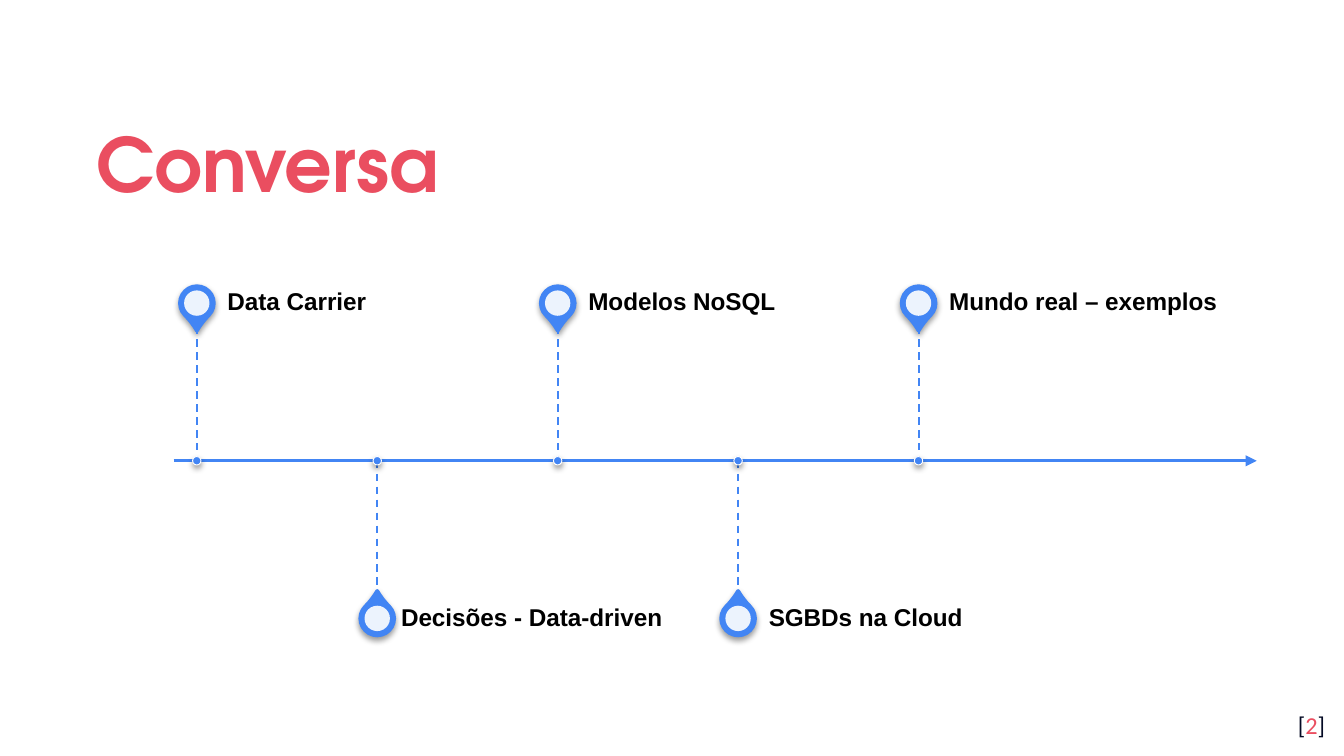
from dataclasses import dataclass

from pptx import Presentation
from pptx.dml.color import RGBColor
from pptx.enum.dml import MSO_LINE
from pptx.enum.shapes import MSO_CONNECTOR, MSO_SHAPE
from pptx.enum.text import MSO_ANCHOR, MSO_AUTO_SIZE, PP_ALIGN
from pptx.oxml import parse_xml
from pptx.oxml.ns import nsdecls, qn
from pptx.util import Cm, Pt


@dataclass(frozen=True)
class Theme:
    red: RGBColor = RGBColor.from_string("EA4E60")
    blue: RGBColor = RGBColor.from_string("4285F4")
    navy: RGBColor = RGBColor.from_string("040A24")
    black: RGBColor = RGBColor.from_string("000000")
    white: RGBColor = RGBColor.from_string("FFFFFF")
    title_font: str = "TeX Gyre Adventor"
    label_font: str = "Arial"
    number_font: str = "Calibri"
    title_size: Pt = Pt(40)
    text_size: Pt = Pt(13)


theme = Theme()
SHADOW = (
    f'<a:outerShdw {nsdecls("a")} blurRad="40000" dist="20000" dir="5400000" rotWithShape="0">'
    '<a:srgbClr val="000000"><a:alpha val="38000"/></a:srgbClr></a:outerShdw>'
)


def add_marker(kind, x, y, size, fill, outline=None, width=None):
    """Add a shape centred on x, y (cm); outlined markers cast a shadow."""
    shape = slide.shapes.add_shape(
        kind, Cm(x - size / 2), Cm(y - size / 2), Cm(size), Cm(size))
    shape.shadow.inherit = False
    shape.fill.solid()
    shape.fill.fore_color.rgb = fill
    if outline is None:
        shape.line.fill.background()
    else:
        shape.line.color.rgb = outline
        shape.line.width = width
        shape._element.spPr.find(qn("a:effectLst")).append(parse_xml(SHADOW))
    return shape


def add_line(x1, y1, x2, y2, width):
    """Add a plain blue line between two points (cm)."""
    line = slide.shapes.add_connector(
        MSO_CONNECTOR.STRAIGHT, Cm(x1), Cm(y1), Cm(x2), Cm(y2))
    line.line.color.rgb = theme.blue
    line.line.width = width
    line._element.spPr.append(parse_xml(f'<a:effectLst {nsdecls("a")}/>'))
    return line


presentation = Presentation()
presentation.slide_width = Cm(25.4)
presentation.slide_height = Cm(14.29)
slide = presentation.slides.add_slide(presentation.slide_layouts[5])

# Title
title = slide.shapes.title
title.left, title.top, title.width, title.height = Cm(1.57), Cm(1.78), Cm(22.28), Cm(2.34)
text_frame = title.text_frame
text_frame.text = "Conversa"
text_frame.auto_size = MSO_AUTO_SIZE.NONE
text_frame.vertical_anchor = MSO_ANCHOR.MIDDLE
text_frame.margin_left = text_frame.margin_right = Cm(0.25)
text_frame.margin_top = text_frame.margin_bottom = Cm(0.25)
paragraph = text_frame.paragraphs[0]
paragraph.alignment = PP_ALIGN.LEFT
paragraph.line_spacing = 1.15
font = paragraph.runs[0].font
font.name, font.size, font.bold = theme.title_font, theme.title_size, True
font.color.rgb = theme.red

# Slide number
number_box = slide.shapes.add_textbox(Cm(23.77), Cm(13.18), Cm(1.52), Cm(1.09))
text_frame = number_box.text_frame
text_frame.word_wrap = True
text_frame.margin_left = text_frame.margin_right = Cm(0.25)
text_frame.margin_top = text_frame.margin_bottom = Cm(0.25)
paragraph = text_frame.paragraphs[0]
paragraph.alignment = PP_ALIGN.RIGHT
for text, color in (("[", theme.navy), ("2", theme.red), ("]", theme.navy)):
    run = paragraph.add_run()
    run.text = text
    run.font.name, run.font.size = theme.number_font, theme.text_size
    run.font.color.rgb = color

# Time axis
axis_y = 8.71
axis = add_line(3.28, axis_y, 23.75, axis_y, Pt(1.5))
axis.line._get_or_add_ln().append(parse_xml(f'<a:tailEnd {nsdecls("a")} type="triangle"/>'))

# Milestones, alternately above and below the axis: label and its indent (cm)
milestones = (
    ("Data Carrier", 0.13),
    ("Decisões - Data-driven", 0),
    ("Modelos NoSQL", 0.13),
    ("SGBDs na Cloud", 0.13),
    ("Mundo real – exemplos", 0.13),
)
first_x, step = 3.72, 3.41
pin_distance, stem_length = 2.98, 2.54
label_height = 0.89

for index, (text, indent) in enumerate(milestones):
    x = first_x + index * step
    side = -1 if index % 2 == 0 else 1
    pin_y = axis_y + side * pin_distance

    # Pin
    pin = add_marker(MSO_SHAPE.TEAR, x, pin_y, 0.64, theme.blue, theme.blue, Pt(2))
    pin.adjustments[0] = 1.15
    pin.rotation = 135 if side < 0 else 315
    center = add_marker(MSO_SHAPE.OVAL, x, pin_y, 0.48, theme.white)
    color = center._element.spPr.find(qn("a:solidFill")).find(qn("a:srgbClr"))
    color.append(parse_xml(f'<a:alpha {nsdecls("a")} val="90000"/>'))

    # Label
    label = slide.shapes.add_textbox(
        Cm(x + 0.45), Cm(pin_y - label_height / 2), Cm(5.69), Cm(label_height))
    text_frame = label.text_frame
    text_frame.text = text
    text_frame.word_wrap = True
    text_frame.vertical_anchor = MSO_ANCHOR.MIDDLE
    text_frame.margin_left, text_frame.margin_right = Cm(indent), Cm(0.23)
    text_frame.margin_top = text_frame.margin_bottom = 0
    paragraph = text_frame.paragraphs[0]
    paragraph.line_spacing = 0.9
    font = paragraph.runs[0].font
    font.name, font.size, font.bold = theme.label_font, theme.text_size, True
    font.color.rgb = theme.black

    # Stem, drawn downwards, and its dot on the axis
    stem_top, stem_bottom = sorted((axis_y, axis_y + side * stem_length))
    stem = add_line(x, stem_top, x, stem_bottom, Pt(1))
    stem.line.dash_style = MSO_LINE.DASH
    add_marker(MSO_SHAPE.OVAL, x, axis_y, 0.16, theme.blue, theme.white, Pt(0.5))

presentation.save("out.pptx")
